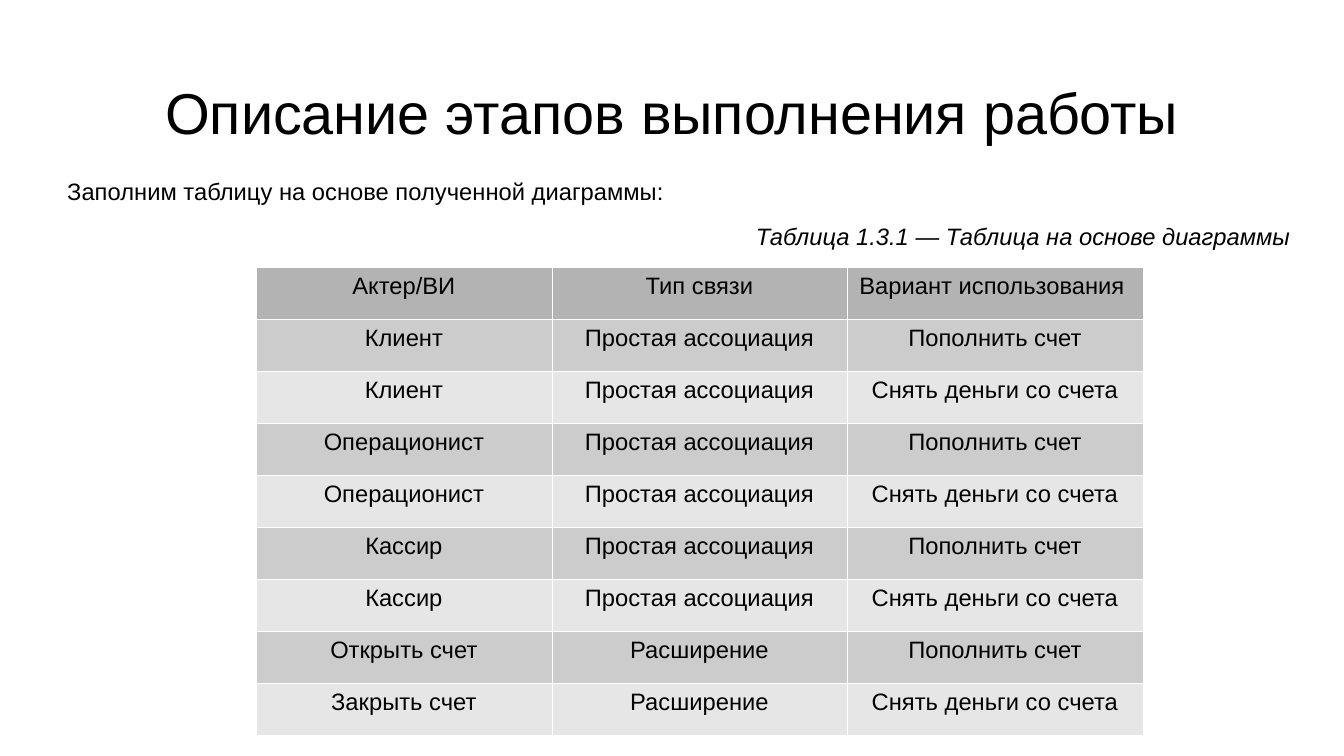
from dataclasses import dataclass

from lxml.etree import SubElement
from pptx import Presentation
from pptx.dml.color import RGBColor as Color
from pptx.enum.text import MSO_ANCHOR as Anchor, MSO_AUTO_SIZE as AutoSize, PP_ALIGN as Align
from pptx.oxml.ns import qn
from pptx.util import Inches, Pt


@dataclass(frozen=True)
class Theme:
    """Colours, font and type sizes of the deck."""
    font: str = "Arial"
    title_size: int = 34
    text_size: int = 14
    ink: str = "000000"
    header: str = "B3B3B3"
    bands: tuple = ("CCCCCC", "E6E6E6")
    border: str = "FFFFFF"
    border_width: float = 0.06


THEME = Theme()
WIDTH, HEIGHT = Inches(11.02), Inches(6.2)
HEADINGS = ("Актер/ВИ", "Тип связи", "Вариант использования")
LINKS = (
    ("Клиент", "Простая ассоциация"),
    ("Операционист", "Простая ассоциация"),
    ("Кассир", "Простая ассоциация"),
    (("Открыть счет", "Закрыть счет"), "Расширение"),
)
USE_CASES = ("Пополнить счет", "Снять деньги со счета")


def area(left, top, width, height):
    """Turn percentages of the slide into lengths."""
    return (int(WIDTH * left / 100), int(HEIGHT * top / 100),
            int(WIDTH * width / 100), int(HEIGHT * height / 100))


def write(frame, text, size=THEME.text_size, align=Align.LEFT, italic=False, spacing=1.0):
    """Put one formatted paragraph into a text frame."""
    para = frame.paragraphs[0]
    para.alignment, para.line_spacing = align, spacing
    para.space_before = Pt(0)
    span = para.add_run()
    span.text = text
    font = span.font
    font.name, font.size = THEME.font, Pt(size)
    font.bold, font.italic = False, italic
    font.color.rgb = Color.from_string(THEME.ink)
    return para


def fill_placeholder(holder, place, text, anchor=Anchor.TOP, **style):
    """Move a placeholder, clear its margins and bullet, and write its text."""
    holder.left, holder.top, holder.width, holder.height = place
    frame = holder.text_frame
    frame.margin_left = frame.margin_top = frame.margin_right = frame.margin_bottom = 0
    frame.word_wrap, frame.auto_size = True, AutoSize.NONE
    frame.vertical_anchor = anchor
    settings = write(frame, text, **style)._p.get_or_add_pPr()
    settings.set("marL", "0")
    settings.set("indent", "0")
    SubElement(settings, qn("a:buNone"))


def add_caption(page, place, text):
    """Add the italic table caption on a single line."""
    box = page.shapes.add_textbox(*place)
    box.text_frame.word_wrap = False
    write(box.text_frame, text, italic=True)


def paint_cell(cell, color):
    """Give a cell its thin borders and its fill."""
    settings = cell._tc.get_or_add_tcPr()
    for side in ("lnL", "lnR", "lnT", "lnB"):
        line = SubElement(settings, qn(f"a:{side}"), w=str(Pt(THEME.border_width)))
        solid = SubElement(line, qn("a:solidFill"))
        SubElement(solid, qn("a:srgbClr"), val=THEME.border)
    cell.fill.solid()
    cell.fill.fore_color.rgb = Color.from_string(color)


def table_rows():
    """List the headings and each link once for every use case."""
    rows = [HEADINGS]
    for actor, link in LINKS:
        actors = (actor, actor) if isinstance(actor, str) else actor
        rows += [(name, link, case) for name, case in zip(actors, USE_CASES)]
    return rows


def add_links_table(page, place, rows):
    """Add the table with a dark heading and alternating bands."""
    table = page.shapes.add_table(len(rows), len(HEADINGS), *place).table
    table.first_row = table.horz_banding = False
    for row_index, row in enumerate(rows):
        color = THEME.bands[(row_index - 1) % 2] if row_index else THEME.header
        for column_index, text in enumerate(row):
            cell = table.cell(row_index, column_index)
            paint_cell(cell, color)
            align = Align.LEFT if text == HEADINGS[-1] else Align.CENTER
            write(cell.text_frame, text, align=align)


def main():
    """Build and save the slide."""
    deck = Presentation()
    deck.slide_width, deck.slide_height = WIDTH, HEIGHT
    page = deck.slides.add_slide(deck.slide_layouts[1])
    title, body = page.placeholders
    fill_placeholder(title, area(5, 4.03, 90, 16.77), "Описание этапов выполнения работы",
                     anchor=Anchor.MIDDLE, size=THEME.title_size, align=Align.CENTER, spacing=1.5)
    fill_placeholder(body, area(5, 23.39, 45, 5.16),
                     "Заполним таблицу на основе полученной диаграммы:")
    add_caption(page, area(55.35, 28.55, 41.65, 5.16),
                "Таблица 1.3.1 — Таблица на основе диаграммы")
    add_links_table(page, area(19.06, 35.32, 65.97, 61.94), table_rows())
    deck.save("out.pptx")


if __name__ == "__main__":
    main()
